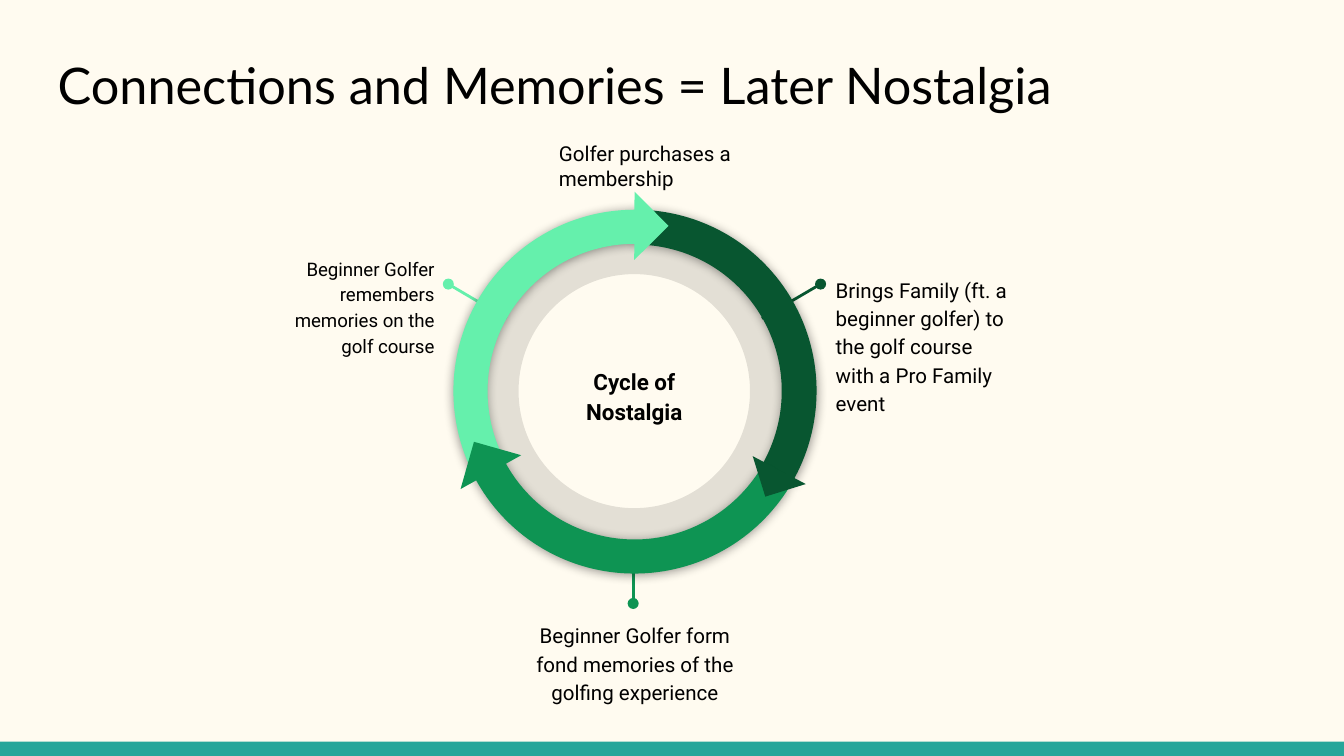
"""Build the golf nostalgia cycle slide."""
import pptx
import pptx.dml.color
import pptx.enum.shapes
import pptx.enum.text
import pptx.oxml
import pptx.oxml.ns
import pptx.util

Pt = pptx.util.Pt
SHAPE = pptx.enum.shapes.MSO_SHAPE
ALIGN = pptx.enum.text.PP_ALIGN
ANCHOR = pptx.enum.text.MSO_ANCHOR
NAMESPACE = pptx.oxml.ns.nsdecls("a")

BLACK, CREAM, TEAL = "000000", "FFFBF0", "26A69A"
DARK, MIDDLE, LIGHT = "085630", "0E9453", "65F0AC"


def color(code):
    return pptx.dml.color.RGBColor.from_string(code)


def add_xml(parent, markup):
    element = pptx.oxml.parse_xml(markup)
    parent.append(element)
    return element


def add_text(page, text, left, top, width, height, size=11, font="Roboto",
             bold=False, align=ALIGN.LEFT, anchor=ANCHOR.TOP, spacing=1.15):
    box = page.shapes.add_textbox(Pt(left), Pt(top), Pt(width), Pt(height))
    frame = box.text_frame
    frame.word_wrap = True
    frame.vertical_anchor = anchor
    frame.margin_left = frame.margin_right = Pt(7.2)
    frame.margin_top = frame.margin_bottom = Pt(7.2)
    para = frame.paragraphs[0]
    para.alignment = align
    para.line_spacing = spacing
    span = para.add_run()
    span.text = text
    span.font.name = font
    span.font.size = Pt(size)
    span.font.bold = bold
    span.font.color.rgb = color(BLACK)


def add_filled(page, kind, left, top, width, height, fill,
               rotation=0, adjustments=()):
    shape = page.shapes.add_shape(kind, Pt(left), Pt(top), Pt(width), Pt(height))
    shape.shadow.inherit = False
    shape.fill.solid()
    shape.fill.fore_color.rgb = color(fill)
    shape.line.fill.background()
    shape.rotation = rotation
    for index, value in enumerate(adjustments):
        shape.adjustments[index] = value
    return shape


def add_ring(page):
    ring = add_filled(page, SHAPE.DONUT, 248.4, 117.4, 182.9, 184.3, BLACK,
                      adjustments=(0.161,))
    fill = ring._element.spPr.find(pptx.oxml.ns.qn("a:solidFill"))
    add_xml(fill[0], f'<a:alpha {NAMESPACE} val="11000"/>')


def add_arc(page, fill, rotation, adjustments, flip=True):
    arc = add_filled(page, SHAPE.BLOCK_ARC, 243, 112.3, 194.4, 195.1, fill,
                     rotation, adjustments)
    properties = arc._element.spPr
    if flip:
        properties.xfrm.set("flipH", "1")
    effects = properties.find(pptx.oxml.ns.qn("a:effectLst"))
    add_xml(effects, f'<a:outerShdw {NAMESPACE} blurRad="{Pt(5.6)}" dist="{Pt(0.8)}" '
                     'dir="5400000" algn="t" rotWithShape="0"><a:srgbClr val="000000">'
                     '<a:alpha val="40000"/></a:srgbClr></a:outerShdw>')


def add_tip(page, left, top, size, fill, rotation):
    add_filled(page, SHAPE.RIGHT_TRIANGLE, left, top, size, size, fill, rotation)


def add_pointer(page, start_x, start_y, end_x, end_y, stroke):
    pointer = page.shapes.add_connector(
        pptx.enum.shapes.MSO_CONNECTOR.STRAIGHT,
        Pt(start_x), Pt(start_y), Pt(end_x), Pt(end_y))
    pointer.line.color.rgb = color(stroke)
    pointer.line.width = Pt(1.5)
    add_xml(pointer.line._get_or_add_ln(), f'<a:headEnd {NAMESPACE} type="oval"/>')
    add_xml(pointer._element.spPr, f"<a:effectLst {NAMESPACE}/>")


def main():
    deck = pptx.Presentation()
    deck.slide_width, deck.slide_height = Pt(720), Pt(405)
    page = deck.slides.add_slide(deck.slide_layouts[6])
    page.background.fill.solid()
    page.background.fill.fore_color.rgb = color(CREAM)

    add_filled(page, SHAPE.RECTANGLE, 0, 397.4, 720, 7.6, TEAL)
    add_text(page, "Connections and Memories = Later Nostalgia",
             23.8, 21.6, 671, 45.4, size=27, font="Lato", spacing=1)
    add_ring(page)

    add_pointer(page, 240.2, 152.2, 271.4, 170.6, LIGHT)
    add_text(page, "Beginner Golfer remembers memories on the golf course",
             132.5, 128.9, 107.3, 49, size=10, align=ALIGN.RIGHT)
    add_pointer(page, 439.6, 152.2, 408.2, 170.6, DARK)
    add_text(page, "Brings Family (ft. a beginner golfer) to the golf course "
                   "with a Pro Family event", 440.6, 139.7, 107.3, 49)
    add_pointer(page, 339.2, 323.3, 339.2, 290.2, MIDDLE)
    add_text(page, "Beginner Golfer form fond memories of the golfing experience",
             270.7, 324.7, 139, 49, align=ALIGN.CENTER)
    add_text(page, "Cycle of Nostalgia", 288, 182.2, 103.7, 58.3, size=12,
             bold=True, align=ALIGN.CENTER, anchor=ANCHOR.MIDDLE)

    add_arc(page, DARK, 30.3, (144.14, 0.01, 0.096), flip=False)
    add_arc(page, LIGHT, 329.7, (143.49, 214.73, 0.094))
    add_tip(page, 326.9, 108, 25.9, LIGHT, 225.3)
    add_arc(page, MIDDLE, 210.2, (143.16, 215.03, 0.094))
    add_tip(page, 406.1, 240.5, 22.7, DARK, 342.7)
    add_tip(page, 249.8, 239.8, 26.3, MIDDLE, 105.8)
    add_text(page, "Golfer purchases a membership", 292.3, 68.4, 133.9, 26.6,
             spacing=1)

    deck.save("out.pptx")


if __name__ == "__main__":
    main()
